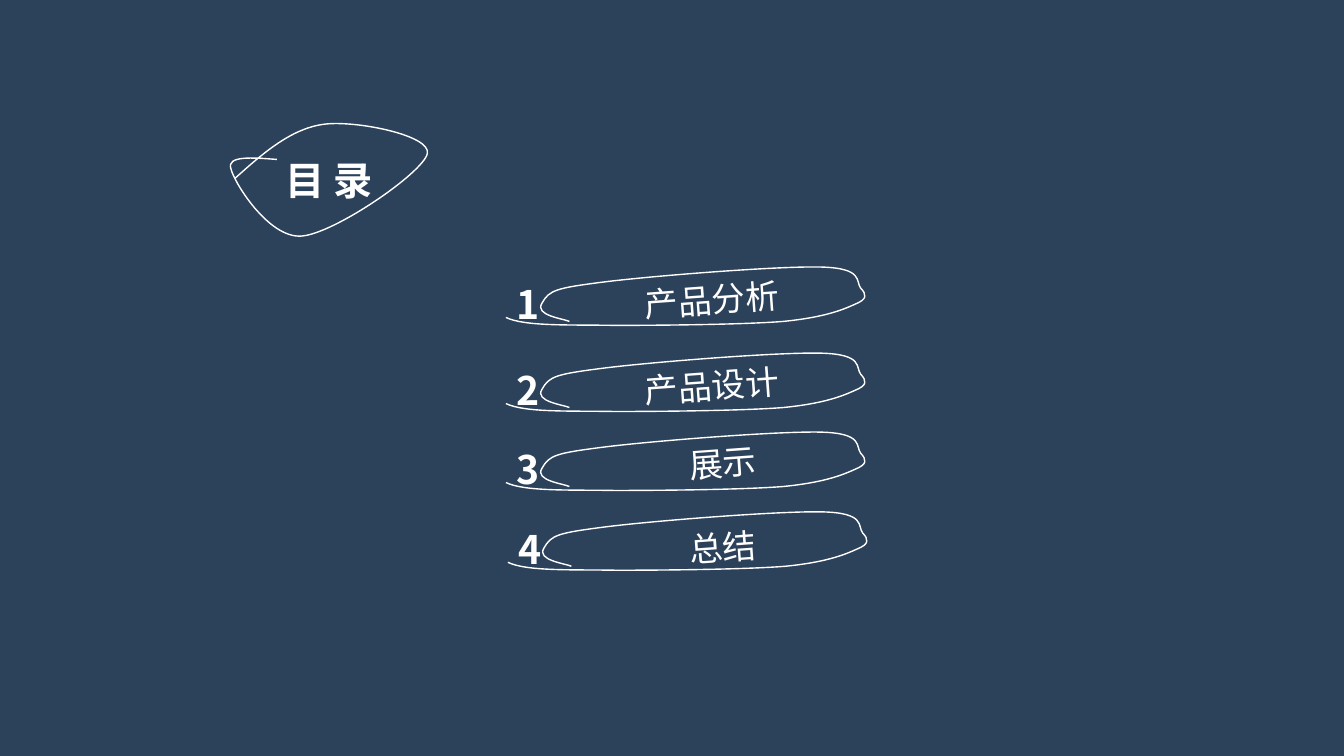
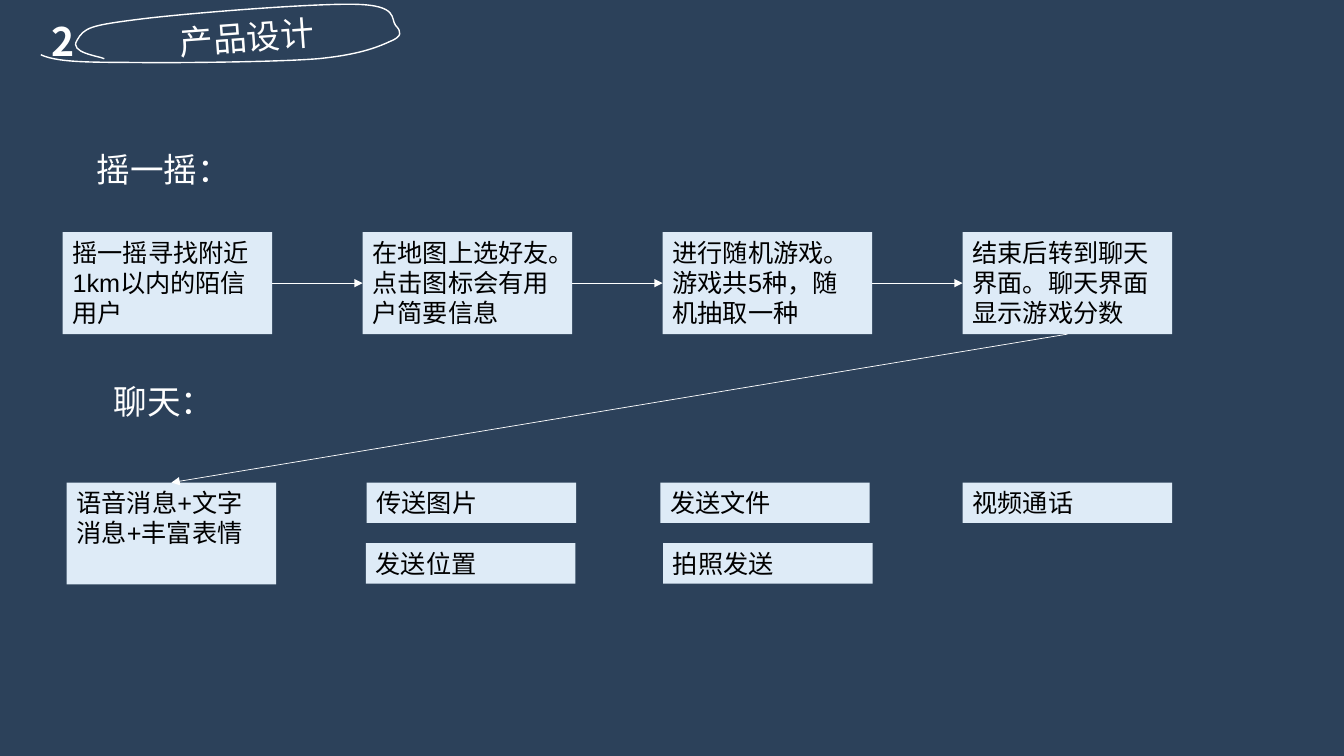
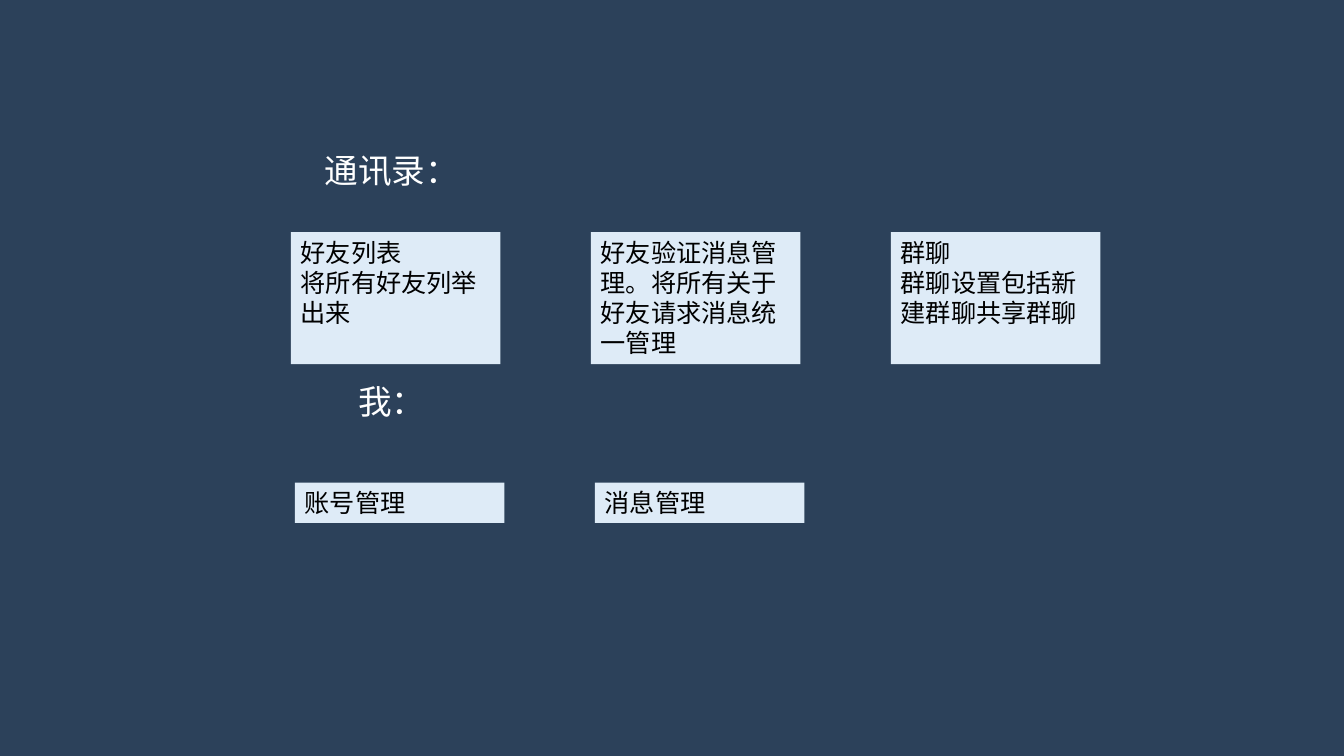
from lxml import etree
from pptx import Presentation
from pptx.dml.color import RGBColor
from pptx.enum.shapes import MSO_CONNECTOR, MSO_SHAPE
from pptx.enum.text import MSO_ANCHOR, MSO_AUTO_SIZE, PP_ALIGN
from pptx.oxml.ns import qn
from pptx.util import Cm, Pt

RECT, STRAIGHT = MSO_SHAPE.RECTANGLE, MSO_CONNECTOR.STRAIGHT
TOP, NO_FIT = MSO_ANCHOR.TOP, MSO_AUTO_SIZE.NONE
LEFT, CENTER = PP_ALIGN.LEFT, PP_ALIGN.CENTER
SIDE_TOP, SIDE_LEFT, SIDE_BOTTOM, SIDE_RIGHT = range(4)

COLORS = {"bg": "2C415A", "ink": "FFFFFF", "box": "DEEBF7", "text": "000000"}
HEAD_FONT, BODY_FONT = "Noto Sans CJK SC", "Arial"
TITLE_ONLY = 5

# Sizes in cm
BOX_W, BOX_PITCH = 5.28, 7.56
LOW, TALL, TALLER = 1.02, 2.57, 3.33
LABEL_H, NUMBER_H = 1.27, 1.45
GLYPH_W, LABEL_PAD = 0.85, 0.54
ROW_1, ROW_2, ROW_3 = 5.85, 12.16, 13.69
HEADING_1, HEADING_2 = 3.64, 9.47
TILT = -4.2

# Hand-drawn outlines in cm: a start point, then cubic curves
RIBBON = ((0, 1.27), [
    ((0.48, 1.5), (1.6, 1.45), (2.74, 1.47)),
    ((3.91, 1.47), (5.99, 1.45), (6.99, 1.37)),
    ((8, 1.27), (8.46, 1.09), (8.79, 0.94)),
    ((9.12, 0.81), (9.09, 0.69), (8.94, 0.53)),
    ((8.81, 0.36), (9.02, 0.03), (7.95, 0)),
    ((6.86, -0.03), (3.61, 0.23), (2.44, 0.38)),
    ((1.27, 0.53), (1.09, 0.58), (0.91, 0.91)),
    ((0.71, 1.22), (1.45, 1.3), (1.6, 1.37)),
])
LEAF = ((1.19, 0.89), [
    ((0.56, 0.84), (-0.08, 0.79), (0.03, 1.12)),
    ((0.1, 1.45), (0.97, 2.87), (1.8, 2.82)),
    ((2.62, 2.77), (4.88, 1.22), (4.98, 0.74)),
    ((5.08, 0.28), (3.18, -0.1), (2.39, 0)),
    ((1.57, 0.1), (0.86, 0.71), (0.15, 1.35)),
])


def rgb(name):
    return RGBColor.from_string(COLORS[name])


def set_text(sp, text, size=24, color="ink", font=HEAD_FONT, bold=False,
             align=CENTER, wrap=False):
    tf = sp.text_frame
    tf.word_wrap, tf.auto_size, tf.vertical_anchor = wrap, NO_FIT, TOP
    for i, line in enumerate(text.split("\n")):
        p = tf.add_paragraph() if i else tf.paragraphs[0]
        p.alignment = align
        r = p.add_run()
        r.text = line
        r.font.size, r.font.bold, r.font.name = Pt(size), bold, font
        r.font.color.rgb = rgb(color)
        etree.SubElement(r.font._element, qn("a:ea"), typeface=font)


def add_label(slide, center, top, text, width=None, height=LABEL_H,
              title=False, tilt=0, **fmt):
    """Heading text centred on a point, in the title placeholder if asked."""
    width = width or GLYPH_W * len(text) + LABEL_PAD
    place = Cm(center - width / 2), Cm(top), Cm(width), Cm(height)
    if title:
        sp = slide.shapes.title
        sp.left, sp.top, sp.width, sp.height = place
    else:
        sp = slide.shapes.add_textbox(*place)
    sp.rotation = tilt
    set_text(sp, text, **fmt)


def add_outline(slide, left, top, outline):
    """Open curve: a freeform through the end points, its segments made cubic."""
    start, curves = outline
    ends = [(Cm(left + x), Cm(top + y))
            for x, y in [start] + [curve[-1] for curve in curves]]
    builder = slide.shapes.build_freeform(*ends[0])
    builder.add_line_segments(ends[1:], close=False)
    sp = builder.convert_to_shape()
    for segment, curve in zip(list(sp._element.iter(qn("a:lnTo"))), curves):
        cubic = etree.Element(qn("a:cubicBezTo"))
        for x, y in curve:
            etree.SubElement(cubic, qn("a:pt"), x=str(Cm(left + x) - sp.left),
                             y=str(Cm(top + y) - sp.top))
        segment.getparent().replace(segment, cubic)
    sp.shadow.inherit = False
    sp.fill.background()
    sp.line.color.rgb, sp.line.width = rgb("ink"), Pt(1)


def add_ribbon(slide, left, top, number, text, center=5.19, drop=0.18, title=False):
    """Numbered chapter mark."""
    add_outline(slide, left, top, RIBBON)
    add_label(slide, left + center, top + drop, text, title=title, tilt=TILT)
    add_label(slide, left + 0.56, top + 0.2, number, width=1.12, height=NUMBER_H,
              size=28, bold=True)


def add_box(slide, left, top, height, text):
    sp = slide.shapes.add_shape(RECT, Cm(left), Cm(top), Cm(BOX_W), Cm(height))
    sp.shadow.inherit = False
    sp.fill.solid()
    sp.fill.fore_color.rgb = rgb("box")
    sp.line.fill.background()
    set_text(sp, text, size=18, color="text", font=BODY_FONT, align=LEFT, wrap=True)
    return sp


def add_box_row(slide, left, top, height, texts):
    return [add_box(slide, left + i * BOX_PITCH, top, height, text)
            for i, text in enumerate(texts)]


def add_arrow(slide, start, start_side, end, end_side):
    c = slide.shapes.add_connector(STRAIGHT, 0, 0, 0, 0)
    c.begin_connect(start, start_side)
    c.end_connect(end, end_side)
    c.line.color.rgb, c.line.width = rgb("ink"), Pt(0.5)
    etree.SubElement(c.line._get_or_add_ln(), qn("a:tailEnd"), type="triangle")
    etree.SubElement(c._element.spPr, qn("a:effectLst"))


def contents_slide(slide):
    add_outline(slide, 5.79, 3.13, LEAF)
    add_label(slide, 8.3, 3.81, "目 录", width=2.8, height=NUMBER_H, title=True,
              size=28, bold=True)
    chapters = [
        (12.75, 6.73, "产品分析", 5.19, 0.18),
        (12.75, 8.9, "产品设计", 5.19, 0.18),
        (12.75, 10.89, "展示", 5.46, 0.13),
        (12.8, 12.9, "总结", 5.41, 0.25),
    ]
    for i, (left, top, text, center, drop) in enumerate(chapters, 1):
        add_ribbon(slide, left, top, str(i), text, center, drop)


def flow_slide(slide):
    add_ribbon(slide, 1.03, 0.11, "2", "产品设计", title=True)

    # Shake: four steps in a chain
    add_label(slide, 4.13, HEADING_1, "摇一摇：")
    steps = add_box_row(slide, 1.58, ROW_1, TALL, [
        "摇一摇寻找附近1km以内的陌信用户",
        "在地图上选好友。点击图标会有用户简要信息",
        "进行随机游戏。游戏共5种，随机抽取一种",
        "结束后转到聊天界面。聊天界面显示游戏分数",
    ])
    for start, end in zip(steps, steps[1:]):
        add_arrow(slide, start, SIDE_RIGHT, end, SIDE_LEFT)

    # Chat: what can be sent
    add_label(slide, 4.13, HEADING_2, "聊天：")
    message = add_box(slide, 1.68, ROW_2, TALL, "语音消息+文字消息+丰富表情")
    for left, top, text in [
        (9.24, ROW_2, "传送图片"), (9.22, ROW_3, "发送位置"),
        (16.64, ROW_2, "发送文件"), (16.71, ROW_3, "拍照发送"),
        (24.26, ROW_2, "视频通话"),
    ]:
        add_box(slide, left, top, LOW, text)
    add_arrow(slide, steps[-1], SIDE_BOTTOM, message, SIDE_TOP)


def contacts_slide(slide):
    # Contacts
    add_label(slide, 9.87, HEADING_1, "通讯录：", title=True)
    add_box_row(slide, 7.33, ROW_1, TALLER, [
        "好友列表\n将所有好友列举出来",
        "好友验证消息管理。将所有关于好友请求消息统一管理",
        "群聊\n群聊设置包括新建群聊共享群聊",
    ])

    # Me
    add_label(slide, 9.87, HEADING_2, "我：")
    add_box_row(slide, 7.43, ROW_2, LOW, ["账号管理", "消息管理"])


def main():
    prs = Presentation()
    prs.slide_width, prs.slide_height = Cm(33.87), Cm(19.05)
    fill = prs.slide_master.background.fill
    fill.solid()
    fill.fore_color.rgb = rgb("bg")
    for build in (contents_slide, flow_slide, contacts_slide):
        build(prs.slides.add_slide(prs.slide_layouts[TITLE_ONLY]))
    prs.save("out.pptx")


if __name__ == "__main__":
    main()
